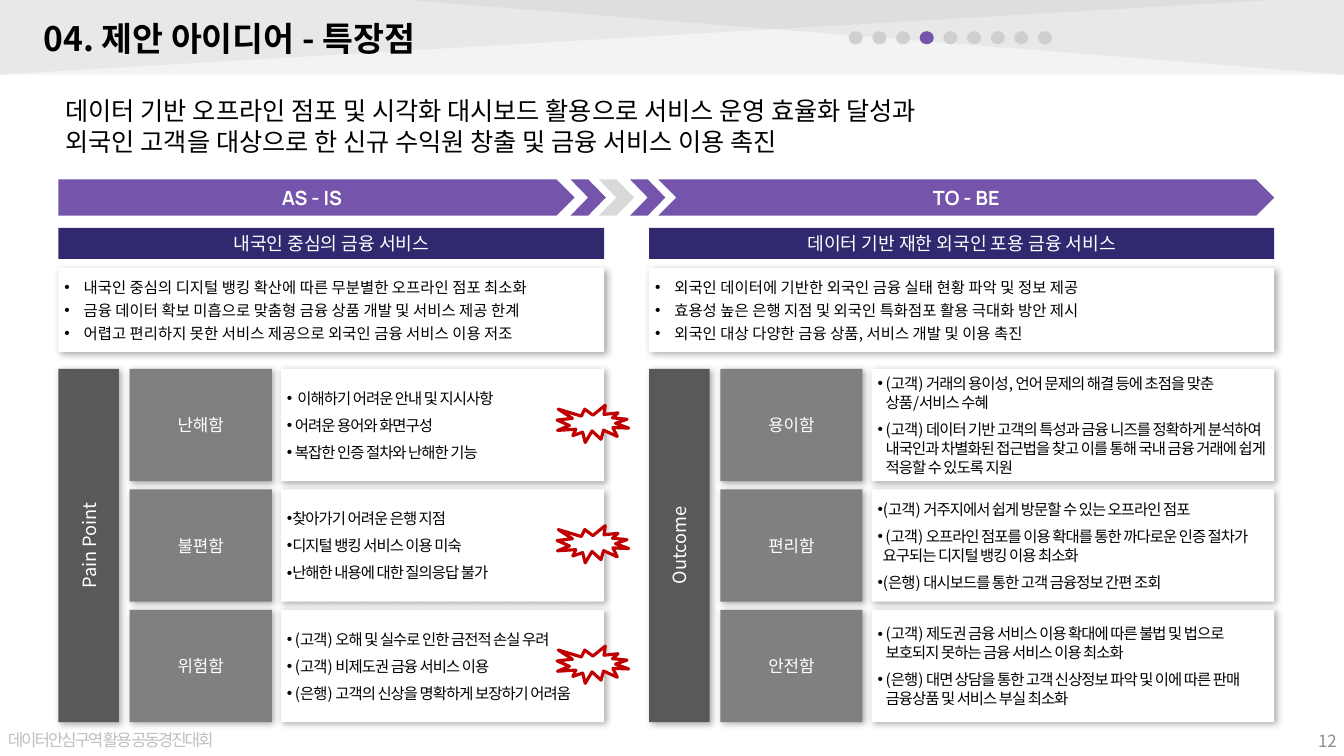
from dataclasses import dataclass

from lxml.etree import SubElement
from pptx import Presentation
from pptx.dml.color import RGBColor
from pptx.enum.shapes import MSO_SHAPE as Preset
from pptx.enum.text import MSO_ANCHOR as Anchor, MSO_AUTO_SIZE as AutoSize, PP_ALIGN as Align
from pptx.oxml.ns import qn
from pptx.util import Emu, Inches, Pt


@dataclass(frozen=True)
class Theme:
    """Colours, fonts and type sizes of the deck."""
    purple: str = "7455AB"
    navy: str = "31296F"
    dark: str = "595959"
    grey: str = "808080"
    chevron: str = "D9D9D9"
    dot: str = "D0CECE"
    footer: str = "BFBFBF"
    number: str = "8C8C8C"
    red: str = "C00000"
    black: str = "000000"
    white: str = "FFFFFF"
    font: str = "Noto Sans CJK KR"
    arrow_font: str = "Manrope"
    title: int = 24
    lead: int = 18
    arrow: int = 14
    heading: int = 13
    label: int = 12
    item: int = 11


@dataclass(frozen=True)
class Box:
    """Area in percent of the slide's width and height."""
    left: float
    top: float
    width: float
    height: float

    def emu(self):
        """Return left, top, width and height in EMU."""
        return (Emu(int(WIDTH * self.left / 100)), Emu(int(HEIGHT * self.top / 100)),
                Emu(int(WIDTH * self.width / 100)), Emu(int(HEIGHT * self.height / 100)))

    def area(self, left, top, width, height):
        """Return an area offset from this one."""
        return Box(self.left + left, self.top + top, width, height)


THEME = Theme()
WIDTH, HEIGHT = Inches(13.33), Inches(7.5)
ROW_HEIGHT, ROW_PITCH = 14.85, 15.93
ARROWS = Box(4.35, 23.73, 90.46, 4.8)
AS_IS = Box(4.35, 30.13, 40.6, 65.4)
TO_BE = Box(48.3, 30.13, 46.5, 65.4)
MATRIX_TOP = 18.67

AS_IS_TEXT = (
    "내국인 중심의 금융 서비스",
    ["내국인 중심의 디지털 뱅킹 확산에 따른 무분별한 오프라인 점포 최소화",
     "금융 데이터 확보 미흡으로 맞춤형 금융 상품 개발 및 서비스 제공 한계",
     "어렵고 편리하지 못한 서비스 제공으로 외국인 금융 서비스 이용 저조"],
    "Pain Point",
    [("난해함", 0.08, [" 이해하기 어려운 안내 및 지시사항", "어려운 용어와 화면구성",
                    "복잡한 인증 절차와 난해한 기능"]),
     ("불편함", 0.05, ["찾아가기 어려운 은행 지점", "디지털 뱅킹 서비스 이용 미숙",
                    "난해한 내용에 대한 질의응답 불가"]),
     ("위험함", 0.08, ["(고객) 오해 및 실수로 인한 금전적 손실 우려", "(고객) 비제도권 금융 서비스 이용",
                    "(은행) 고객의 신상을 명확하게 보장하기 어려움"])])
TO_BE_TEXT = (
    "데이터 기반 재한 외국인 포용 금융 서비스",
    ["외국인 데이터에 기반한 외국인 금융 실태 현황 파악 및 정보 제공",
     "효용성 높은 은행 지점 및 외국인 특화점포 활용 극대화 방안 제시",
     "외국인 대상 다양한 금융 상품, 서비스 개발 및 이용 촉진"],
    "Outcome",
    [("용이함", 0.08, ["(고객) 거래의 용이성, 언어 문제의 해결 등에 초점을 맞춘 상품/서비스 수혜",
                    "(고객) 데이터 기반 고객의 특성과 금융 니즈를 정확하게 분석하여 내국인과 차별화된 "
                    "접근법을 찾고 이를 통해 국내 금융 거래에 쉽게 적응할 수 있도록 지원"]),
     ("편리함", 0.05, ["(고객) 거주지에서 쉽게 방문할 수 있는 오프라인 점포",
                    " (고객) 오프라인 점포를 이용 확대를 통한 까다로운 인증 절차가 요구되는 디지털 뱅킹 이용 최소화",
                    "(은행) 대시보드를 통한 고객 금융정보 간편 조회"]),
     ("안전함", 0.08, ["(고객) 제도권 금융 서비스 이용 확대에 따른 불법 및 법으로 보호되지 못하는 금융 서비스 이용 최소화",
                    "(은행) 대면 상담을 통한 고객 신상정보 파악 및 이에 따른 판매 금융상품 및 서비스 부실 최소화"])])


def write(target, lines, size=THEME.item, color=THEME.black, font=THEME.font, bold=False,
          align=Align.LEFT, anchor=Anchor.MIDDLE, insets=(0.1, 0.05, 0.1, 0.05),
          after=0, hang=None, tracking=0, wrap=True):
    """Fill a shape with formatted paragraphs."""
    frame = target.text_frame
    frame.auto_size, frame.word_wrap, frame.vertical_anchor = AutoSize.NONE, wrap, anchor
    frame.margin_left, frame.margin_top, frame.margin_right, frame.margin_bottom = map(Inches, insets)
    for index, line in enumerate([lines] if isinstance(lines, str) else lines):
        paragraph = frame.paragraphs[0] if index == 0 else frame.add_paragraph()
        properties = paragraph._p.get_or_add_pPr()
        properties.set("marL", str(Inches(hang or 0)))
        properties.set("indent", str(-Inches(hang or 0)))
        if hang is None:
            SubElement(properties, qn("a:buNone"))
        else:
            SubElement(properties, qn("a:buFont"), typeface="Arial")
            SubElement(properties, qn("a:buChar"), char="•")
        paragraph.alignment = align
        paragraph.space_before, paragraph.space_after = Pt(0), Pt(after)
        paragraph.line_spacing = Pt(round(size * 1.22, 1))
        run = paragraph.add_run()
        run.text = line
        run.font.size, run.font.bold, run.font.name = Pt(size), bold, font
        run.font.color.rgb = RGBColor.from_string(color)
        run_properties = run._r.get_or_add_rPr()
        run_properties.set("spc", str(int(tracking * 100)))
        SubElement(run_properties, qn("a:ea"), typeface=font)


def add_block(slide, preset, box, fill, alpha=None, shadow=False):
    """Add a borderless filled shape, optionally see-through or shadowed."""
    block = slide.shapes.add_shape(preset, *box.emu())
    block.shadow.inherit = False
    block.fill.solid()
    block.fill.fore_color.rgb = RGBColor.from_string(fill)
    block.line.fill.background()
    properties = block.element.spPr
    if alpha:
        SubElement(properties.find(".//" + qn("a:srgbClr")), qn("a:alpha"), val=str(alpha * 1000))
    if shadow:
        outer = SubElement(properties.find(qn("a:effectLst")), qn("a:outerShdw"), blurRad=str(Pt(5)),
                           dist=str(Pt(2)), dir="2700000", algn="tl", rotWithShape="0")
        shade = SubElement(outer, qn("a:srgbClr"), val=THEME.black)
        SubElement(shade, qn("a:alpha"), val="33000")
    return block


def add_header(slide, box):
    """Draw the layered band, the title and the progress dots."""
    add_block(slide, Preset.RECTANGLE, box, THEME.grey, alpha=9)
    right = add_block(slide, Preset.RIGHT_TRIANGLE, box.area(30.3, 0, 69.7, box.height), THEME.grey, alpha=9)
    right.rotation = 180
    left = add_block(slide, Preset.RIGHT_TRIANGLE, box.area(0, 0, 94.65, box.height), THEME.grey, alpha=9)
    left.element.spPr.find(qn("a:xfrm")).set("flipV", "1")
    title = slide.shapes.title
    title.left, title.top, title.width, title.height = box.area(2.48, 1.7, 41.25, 6.67).emu()
    write(title, "04. 제안 아이디어 - 특장점", size=THEME.title, bold=True)
    title.element.getparent().append(title.element)
    for step in range(9):
        add_block(slide, Preset.OVAL, box.area(63.15 + step * 1.76, 4.13, 1.05, 1.73),
                  THEME.purple if step == 3 else THEME.dot)


def add_lead(slide, box):
    """Place the two-line key message."""
    lead = slide.placeholders[1]
    lead.left, lead.top, lead.width, lead.height = box.emu()
    write(lead, ["데이터 기반 오프라인 점포 및 시각화 대시보드 활용으로 서비스 운영 효율화 달성과",
                 "외국인 고객을 대상으로 한 신규 수익원 창출 및 금융 서비스 이용 촉진"],
          size=THEME.lead, anchor=Anchor.TOP)


def add_arrows(slide, box):
    """Draw the arrow row from AS-IS to TO-BE."""
    for caption, preset, left, width in (("AS - IS", Preset.PENTAGON, 0, 38.4),
                                         ("TO - BE", Preset.CHEVRON, 44.63, 45.83)):
        arrow = add_block(slide, preset, box.area(left, 0, width, box.height), THEME.purple)
        write(arrow, caption, size=THEME.arrow, color=THEME.white, font=THEME.arrow_font,
              bold=True, align=Align.CENTER, insets=(0, 0.05, 0, 0.05))
    for left, color in ((38.1, THEME.purple), (40.2, THEME.chevron), (42.53, THEME.purple)):
        add_block(slide, Preset.CHEVRON, box.area(left, 0, 2.63, box.height), color)


def add_half(slide, box, heading_text, summary_text, bar_text, rows):
    """Build one side: heading, summary card, side bar and three rows."""
    centred = dict(color=THEME.white, align=Align.CENTER, insets=(0.02, 0.02, 0.02, 0.02))
    card_format = dict(insets=(0.06, 0.05, 0, 0.05))
    heading = add_block(slide, Preset.RECTANGLE, box.area(0, 0, box.width, 4.13), THEME.navy)
    write(heading, heading_text, size=THEME.heading, **centred)
    summary = add_block(slide, Preset.RECTANGLE, box.area(0, 5.34, box.width, 11.07), THEME.white, shadow=True)
    write(summary, summary_text, after=3, hang=0.19, **card_format)

    bar = add_block(slide, Preset.RECTANGLE,
                    box.area(0, MATRIX_TOP, 4.5, 2 * ROW_PITCH + ROW_HEIGHT), THEME.dark, shadow=True)
    shift = (bar.width - bar.height) // 2
    bar.left, bar.top = bar.left + shift, bar.top - shift
    bar.width, bar.height = bar.height, bar.width
    bar.rotation = 270
    write(bar, bar_text, size=THEME.heading, after=6, **centred)

    for index, (label_text, hang, items) in enumerate(rows):
        top = MATRIX_TOP + index * ROW_PITCH
        label = add_block(slide, Preset.RECTANGLE, box.area(5.3, top, 10.58, ROW_HEIGHT), THEME.grey, shadow=True)
        write(label, label_text, size=THEME.label, after=6, **centred)
        card = add_block(slide, Preset.RECTANGLE, box.area(16.55, top, box.width - 16.55, ROW_HEIGHT),
                         THEME.white, shadow=True)
        write(card, items, after=6, hang=hang, tracking=-0.7, **card_format)


def add_bursts(slide, box):
    """Mark each pain point with a burst on the card's right edge."""
    for index in range(3):
        burst = add_block(slide, Preset.EXPLOSION1,
                          box.area(37.1, MATRIX_TOP + 4.8 + index * ROW_PITCH, 5.33, 4.93), THEME.white)
        burst.line.color.rgb = RGBColor.from_string(THEME.red)
        burst.line.width = Pt(2.25)


def add_footer(slide, box):
    """Write the event name and the page number."""
    event = slide.shapes.add_textbox(*box.area(-0.15, 0.5, 19.35, 4).emu())
    write(event, "데이터안심구역 활용 공동경진대회", size=THEME.label, color=THEME.footer, tracking=-1.5, wrap=False)
    number = slide.shapes.add_textbox(*box.area(96.9, 0, 3.3, 5.33).emu())
    write(number, "12", size=THEME.label, color=THEME.number, align=Align.RIGHT)


def main():
    """Build and save the slide."""
    deck = Presentation()
    deck.slide_width, deck.slide_height = WIDTH, HEIGHT
    slide = deck.slides.add_slide(deck.slide_layouts[1])
    add_header(slide, Box(0, 0, 100, 9.87))
    add_lead(slide, Box(4.13, 11.87, 80.93, 9.47))
    add_arrows(slide, ARROWS)
    add_half(slide, AS_IS, *AS_IS_TEXT)
    add_half(slide, TO_BE, *TO_BE_TEXT)
    add_bursts(slide, AS_IS)
    add_footer(slide, Box(0, 95.33, 100, 4.67))
    deck.save("out.pptx")


if __name__ == "__main__":
    main()
